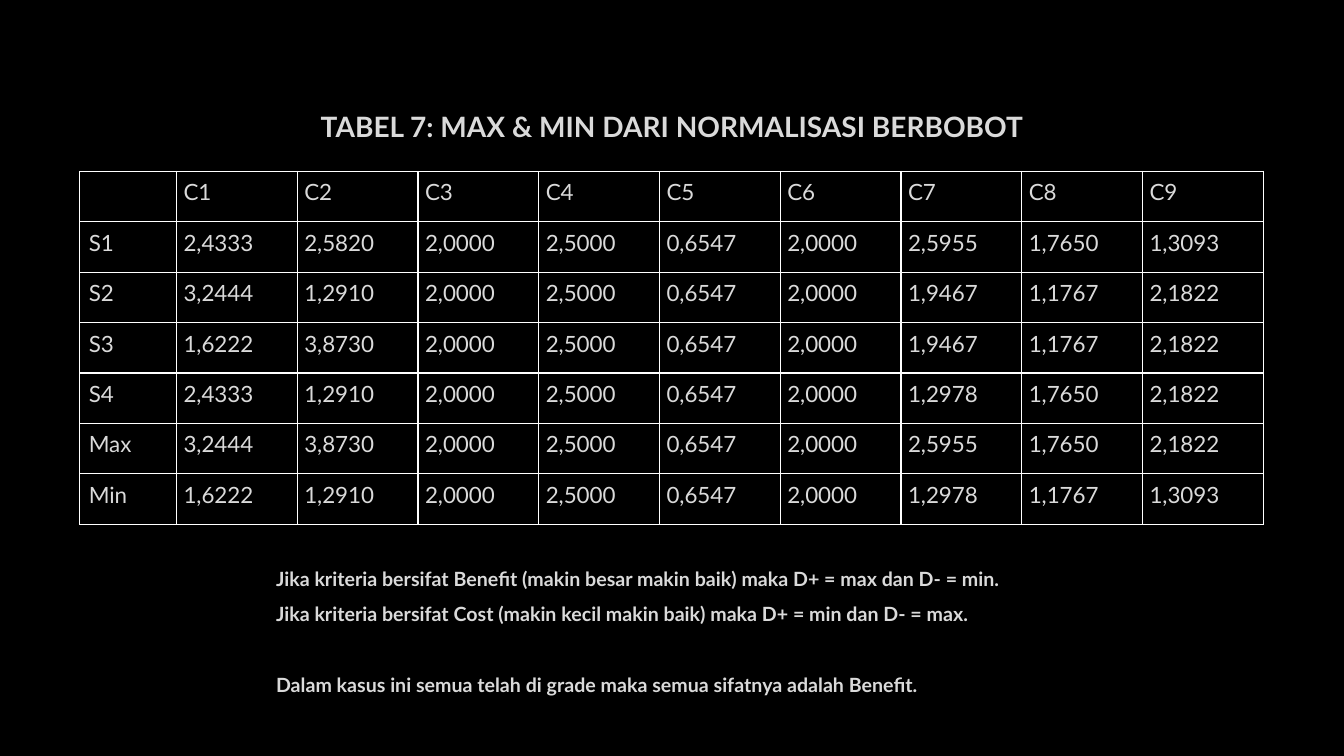
from lxml.etree import SubElement as Sub
from pptx import Presentation
from pptx.dml.color import RGBColor as Rgb
from pptx.enum.text import MSO_ANCHOR as Anchor, MSO_AUTO_SIZE as Fit, PP_ALIGN as Align
from pptx.oxml.ns import qn
from pptx.util import Inches, Pt

HUES = {"back": "000000", "text": "DADADA", "edge": "404040", "rule": "FFFFFF"}

SCORES = {
    "S1": "2,4333 2,5820 2,0000 2,5000 0,6547 2,0000 2,5955 1,7650 1,3093".split(),
    "S2": "3,2444 1,2910 2,0000 2,5000 0,6547 2,0000 1,9467 1,1767 2,1822".split(),
    "S3": "1,6222 3,8730 2,0000 2,5000 0,6547 2,0000 1,9467 1,1767 2,1822".split(),
    "S4": "2,4333 1,2910 2,0000 2,5000 0,6547 2,0000 1,2978 1,7650 2,1822".split(),
}
NOTES = [
    "Jika kriteria bersifat Benefit (makin besar makin baik) maka D+ = max dan D- = min.",
    "Jika kriteria bersifat Cost (makin kecil makin baik) maka D+ = min dan D- = max.",
    "Dalam kasus ini semua telah di grade maka semua sifatnya adalah Benefit.",
]


def paint(line, hue, width, alpha=None):
    """Give a line element its width in points and a solid colour."""
    line.set("w", str(Pt(width)))
    color = Sub(Sub(line, qn("a:solidFill")), qn("a:srgbClr"), val=HUES[hue])
    if alpha:
        Sub(color, qn("a:alpha"), val=str(alpha * 1000))


def write(para, text, size=16, bold=False, align=Align.LEFT, space=1.5,
          before=0, indent=0, edge=False):
    run = para.add_run()
    run.text = text
    font = run.font
    font.name, font.size, font.bold = "Lato", Pt(size), bold
    font.color.rgb = Rgb.from_string(HUES["text"])
    if edge:
        line = Sub(font._element, qn("a:ln"))
        font._element.insert(0, line)
        paint(line, "edge", 0.75, alpha=10)
    para.alignment, para.line_spacing = align, space
    para.space_before = Pt(before)
    if indent:
        para._p.get_or_add_pPr().set("marL", str(Inches(indent)))


class Deck:
    """One slide, with places given as percentages of its size."""

    def __init__(self):
        self.file = Presentation()
        self.file.slide_width, self.file.slide_height = Inches(13.33), Inches(7.5)
        self.slide = self.file.slides.add_slide(self.file.slide_layouts[5])
        back = self.slide.background.fill
        back.solid()
        back.fore_color.rgb = Rgb.from_string(HUES["back"])

    def place(self, left, top, width, height):
        wide, high = self.file.slide_width, self.file.slide_height
        return [int(share * full / 100) for share, full in
                zip((left, top, width, height), (wide, high, wide, high))]

    def title(self, text, *spot):
        shape = self.slide.shapes.title
        shape.left, shape.top, shape.width, shape.height = self.place(*spot)
        frame = shape.text_frame
        frame.auto_size, frame.vertical_anchor = Fit.NONE, Anchor.TOP
        write(frame.paragraphs[0], text, size=20, bold=True,
              align=Align.CENTER, edge=True)

    def notes(self, lines, *spot):
        frame = self.slide.shapes.add_textbox(*self.place(*spot)).text_frame
        frame.word_wrap = True
        for i, text in enumerate(lines):
            para = frame.add_paragraph() if i else frame.paragraphs[0]
            last = i == len(lines) - 1
            write(para, text, size=14, bold=True, align=Align.JUSTIFY,
                  before=25.2 if last else 0, edge=True)

    def table(self, rows, head, *spot):
        """Draw rows of text; head is the first column's share of the slide."""
        box = self.place(*spot)
        grid = self.slide.shapes.add_table(len(rows), len(rows[0]), *box).table
        grid.first_row = grid.horz_banding = False
        first = self.place(head, 0, 0, 0)[0]
        for c, col in enumerate(grid.columns):
            col.width = (box[2] - first) // (len(rows[0]) - 1) if c else first
        for r, row in enumerate(rows):
            for c, text in enumerate(row):
                self.cell(grid.cell(r, c), text, 0.07 if c else 0.09)

    def cell(self, cell, text, indent):
        cell.margin_left = cell.margin_right = 0
        cell.margin_top = cell.margin_bottom = 0
        cell.vertical_anchor = Anchor.MIDDLE
        props = cell._tc.get_or_add_tcPr()
        for side in ("lnL", "lnR", "lnT", "lnB"):
            paint(Sub(props, qn("a:" + side)), "rule", 1)
        cell.fill.background()
        if text:
            write(cell.text_frame.paragraphs[0], text, space=Pt(12.8), indent=indent)


def main():
    deck = Deck()
    deck.title("TABEL 7: MAX & MIN DARI NORMALISASI BERBOBOT", 8.63, 11.6, 82.75, 9.07)
    columns = list(zip(*SCORES.values()))
    rows = [["", *(f"C{n}" for n in range(1, len(columns) + 1))]]
    rows += [[name, *scores] for name, scores in SCORES.items()]
    rows += [["Max", *map(max, columns)], ["Min", *map(min, columns)]]
    deck.table(rows, 7.2, 5.93, 22.67, 88.07, 46.67)
    deck.notes(NOTES, 19.8, 72.8, 60, 20.4)
    deck.file.save("out.pptx")


if __name__ == "__main__":
    main()
